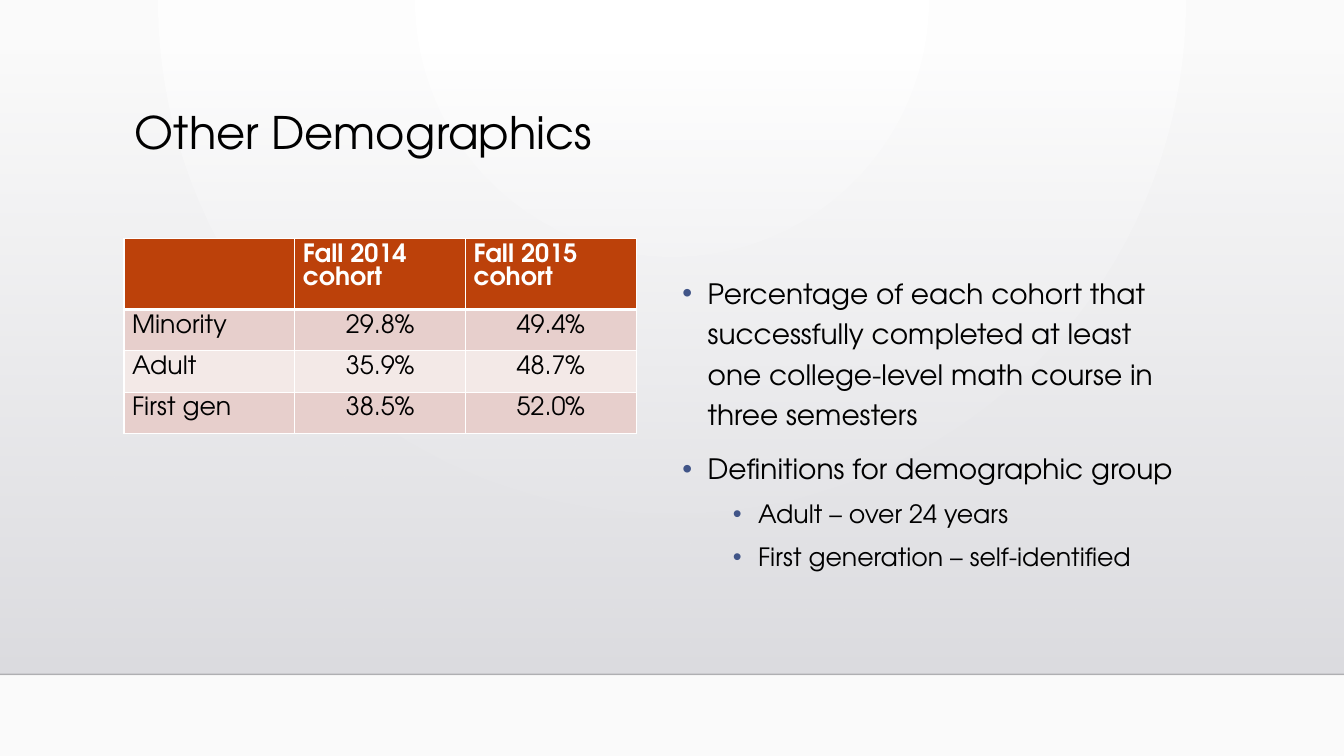
from lxml import etree
from pptx import Presentation
from pptx.dml.color import RGBColor
from pptx.enum import shapes, text
from pptx.oxml import ns
from pptx.util import Inches, Pt

FONT = "TeX Gyre Adventor"
BLACK = RGBColor(0x00, 0x00, 0x00)
WHITE = RGBColor(0xFF, 0xFF, 0xFF)
FLOOR = RGBColor(0xFA, 0xFA, 0xFA)
HAZE_TOP = RGBColor(0xDC, 0xDC, 0xE0)
HAZE_BOTTOM = RGBColor(0xDE, 0xDE, 0xE2)
HEADER = RGBColor(0xBC, 0x41, 0x0A)
BAND_DARK = RGBColor(0xE7, 0xCF, 0xCC)
BAND_LIGHT = RGBColor(0xF3, 0xE9, 0xE7)
BULLET = RGBColor(0x41, 0x55, 0x88)

COHORTS = [
    ["", "Fall 2014 cohort", "Fall 2015 cohort"],
    ["Minority", "29.8%", "49.4%"],
    ["Adult", "35.9%", "48.7%"],
    ["First gen", "38.5%", "52.0%"],
]
NOTES = [
    (0, "Percentage of each cohort that successfully completed at least "
        "one college-level math course in three semesters"),
    (0, "Definitions for demographic group"),
    (1, "Adult – over 24 years"),
    (1, "First generation – self-identified"),
]


def add_xml(parent, tag, **attributes):
    return etree.SubElement(parent, ns.qn(tag), attributes)


def apply(target, values):
    for name, value in values.items():
        setattr(target, name, value)


def set_gradient(fill, colors):
    fill.gradient()
    for stop, color in zip(fill.gradient_stops, colors):
        stop.color.rgb = color


def write(para, words, size, color=BLACK, bold=False, **layout):
    apply(para, layout)
    span = para.add_run()
    span.text = words
    apply(span.font, {"name": FONT, "size": Pt(size), "bold": bold})
    span.font.color.rgb = color


def add_text_box(page, left, top, width, height, anchor):
    box = page.shapes.add_textbox(*map(Inches, (left, top, width, height)))
    apply(box.text_frame, {"word_wrap": True, "vertical_anchor": anchor})
    return box.text_frame


def add_bullet(para, level):
    props = para._p.get_or_add_pPr()
    props.set("marL", str(Inches(0.25 + 0.5 * level)))
    props.set("indent", str(Inches(-0.25)))
    add_xml(add_xml(props, "a:buClr"), "a:srgbClr", val=str(BULLET))
    add_xml(props, "a:buFont", typeface="Arial")
    add_xml(props, "a:buChar", char="•")


def set_borders(cell, top, bottom):
    props = cell._tc.get_or_add_tcPr()
    for place, (side, width) in enumerate(
            [("a:lnL", 1), ("a:lnR", 1), ("a:lnT", top), ("a:lnB", bottom)]):
        line = etree.Element(ns.qn(side), {"w": str(Pt(width))})
        add_xml(add_xml(line, "a:solidFill"), "a:srgbClr", val=str(WHITE))
        props.insert(place, line)


def add_backdrop(page):
    # Circular glow
    set_gradient(page.background.fill, [WHITE, FLOOR])
    glow = page._element.find(".//" + ns.qn("a:gradFill"))
    glow.remove(glow.find(ns.qn("a:lin")))
    circle = add_xml(glow, "a:path", path="circle")
    add_xml(circle, "a:fillToRect", l="43000", t="0", r="43000", b="100000")

    # Haze that thickens towards the floor
    haze = page.shapes.add_shape(
        shapes.MSO_SHAPE.RECTANGLE, 0, Inches(0.51), Inches(13.33), Inches(6.18))
    haze.shadow.inherit = False
    haze.line.fill.background()
    set_gradient(haze.fill, [HAZE_TOP, HAZE_BOTTOM])
    haze.fill.gradient_angle = 270
    first_color = haze._element.find(".//" + ns.qn("a:gs"))[0]
    add_xml(first_color, "a:alpha", val="0")

    # Floor line, joined to nothing
    edge = page.shapes.add_connector(
        shapes.MSO_CONNECTOR.STRAIGHT, 0, Inches(6.69), Inches(13.33), Inches(6.69))
    edge.line.width = Pt(1)
    edge.line.color.rgb = BLACK
    line_color = edge._element.find(".//" + ns.qn("a:srgbClr"))
    add_xml(line_color, "a:alpha", val="20000")
    add_xml(edge._element.spPr, "a:effectLst")


def add_cohort_table(page):
    table = page.shapes.add_table(
        len(COHORTS), 3, Inches(1.23), Inches(2.37), Inches(5.08), Inches(1.79)).table
    for column in table.columns:
        column.width = Inches(5.08 / 3)
    for r, values in enumerate(COHORTS):
        is_header = r == 0
        table.rows[r].height = Inches(0.56 if is_header else 0.41)
        for c, value in enumerate(values):
            cell = table.cell(r, c)
            apply(cell, {"margin_left": Inches(0.08), "margin_right": Inches(0.08),
                         "margin_top": Inches(0.05), "margin_bottom": Inches(0.05)})
            cell.fill.solid()
            cell.fill.fore_color.rgb = (
                HEADER if is_header else BAND_DARK if r % 2 else BAND_LIGHT)
            set_borders(cell, 3 if r == 1 else 1, 3 if is_header else 1)
            centred = c > 0 and not is_header
            write(cell.text_frame.paragraphs[0], value, 18,
                  WHITE if is_header else BLACK, is_header,
                  alignment=text.PP_ALIGN.CENTER if centred else text.PP_ALIGN.LEFT)


def add_notes_list(page):
    frame = add_text_box(page, 6.67, 2.38, 5.08, 3.59, text.MSO_ANCHOR.MIDDLE)
    for i, (level, words) in enumerate(NOTES):
        para = frame.add_paragraph() if i else frame.paragraphs[0]
        write(para, words, 18 if level else 20, level=level,
              line_spacing=1.2, space_before=Pt(5 if level else 10))
        add_bullet(para, level)


def main():
    deck = Presentation()
    apply(deck, {"slide_width": Inches(13.33), "slide_height": Inches(7.5)})
    page = deck.slides.add_slide(deck.slide_layouts[6])
    add_backdrop(page)
    title = add_text_box(page, 1.24, 1.05, 10.5, 1.16, text.MSO_ANCHOR.TOP)
    write(title.paragraphs[0], "Other Demographics", 32, line_spacing=0.9)
    add_cohort_table(page)
    add_notes_list(page)
    deck.save("out.pptx")


if __name__ == "__main__":
    main()
